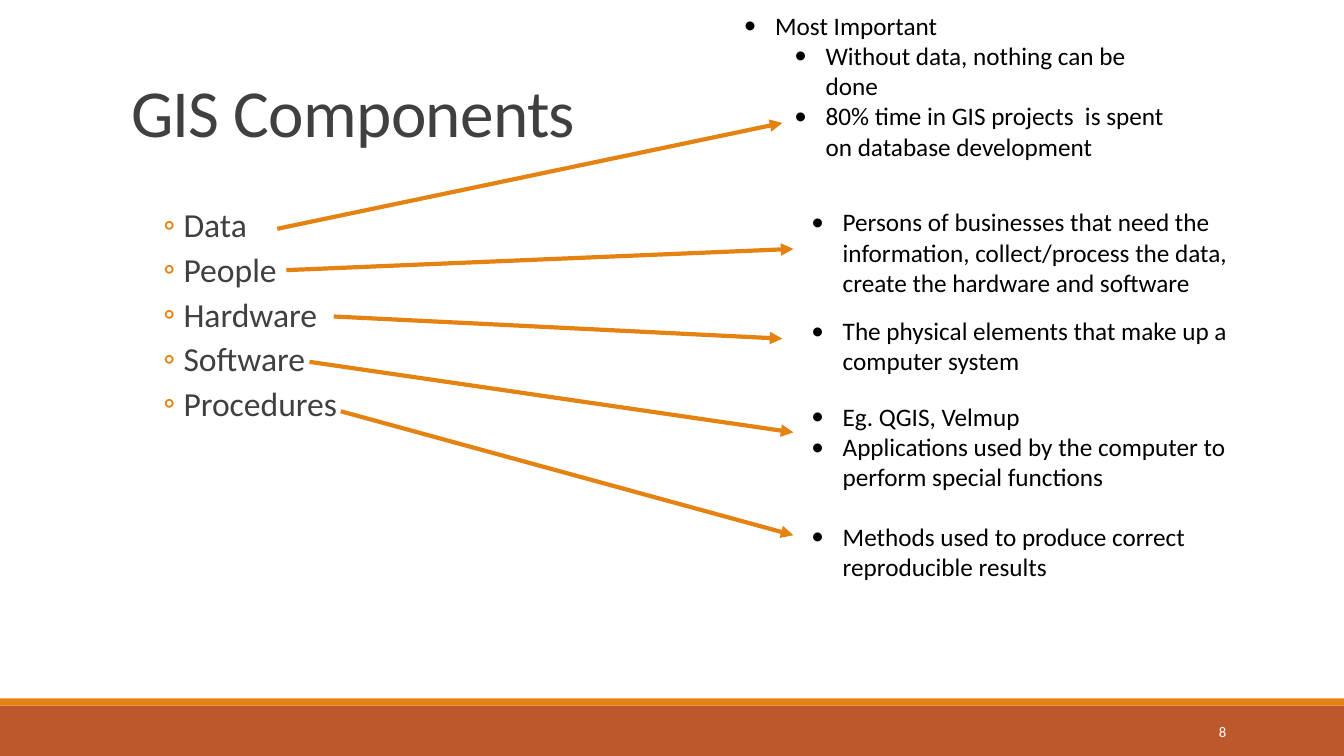
from lxml.etree import SubElement
from pptx import Presentation
from pptx.dml.color import RGBColor
from pptx.enum.shapes import MSO_CONNECTOR, MSO_SHAPE
from pptx.enum.text import MSO_ANCHOR, MSO_AUTO_SIZE, PP_ALIGN
from pptx.oxml.ns import qn
from pptx.util import Inches, Pt

ORANGE = "E48312"
RUST = "BD582C"
GREY = "404040"
BLACK = "000000"
WHITE = "FFFFFF"


def color(value):
    return RGBColor.from_string(value)


def write(paragraph, text, size=18, fill=BLACK, align=PP_ALIGN.LEFT, level=0,
          bullet=None, bullet_fill=None, indent=0, hanging=0, line=1, before=0, after=0):
    properties = paragraph._p.get_or_add_pPr()
    if bullet:
        properties.set("marL", str(Inches(indent)))
        properties.set("indent", str(-Inches(hanging)))
        bullet_color = SubElement(properties, qn("a:buClr"))
        SubElement(bullet_color, qn("a:srgbClr"), val=bullet_fill or fill)
        SubElement(properties, qn("a:buFont"), typeface="Calibri")
        SubElement(properties, qn("a:buChar"), char=bullet)
    paragraph.level = level
    paragraph.alignment = align
    paragraph.line_spacing = line
    paragraph.space_before = Pt(before)
    paragraph.space_after = Pt(after)
    run = paragraph.add_run()
    run.text = text
    run.font.name = "Calibri"
    run.font.size = Pt(size)
    run.font.color.rgb = color(fill)
    return run


presentation = Presentation()
presentation.slide_width = Inches(13.33)
presentation.slide_height = Inches(7.5)
slide = presentation.slides.add_slide(presentation.slide_layouts[1])
title, body = slide.placeholders

for top, height, fill in [(7, 0.5, RUST), (6.93, 0.07, ORANGE)]:
    band = slide.shapes.add_shape(
        MSO_SHAPE.RECTANGLE, 0, Inches(top), Inches(13.33), Inches(height))
    band.shadow.inherit = False
    band.fill.solid()
    band.fill.fore_color.rgb = color(fill)
    band.line.fill.background()

for placeholder, top, height, anchor in [
    (title, -0.04, 1.59, MSO_ANCHOR.BOTTOM),
    (body, 2.02, 4.4, MSO_ANCHOR.TOP),
]:
    placeholder.left, placeholder.top = Inches(1.2), Inches(top)
    placeholder.width, placeholder.height = Inches(11), Inches(height)
    placeholder.text_frame.auto_size = MSO_AUTO_SIZE.NONE
    placeholder.text_frame.vertical_anchor = anchor

heading = write(title.text_frame.paragraphs[0], "GIS Components", size=48, fill=GREY, line=0.85)
heading.font._element.set("spc", "-50")

body.text_frame.margin_left = body.text_frame.margin_right = 0
components = ["Data", "People", "Hardware", "Software", "Procedures"]
for index, component in enumerate(components):
    paragraph = body.text_frame.add_paragraph() if index else body.text_frame.paragraphs[0]
    write(paragraph, component, size=24, fill=GREY, level=2, bullet="◦", bullet_fill=ORANGE,
          indent=0.62, hanging=0.2, line=0.9, before=2 if index else 0, after=4)

descriptions = [
    (7.28, 0.05, 4.55, 2.22, [
        ("Most Important", 0),
        ("Without data, nothing can be done", 1),
        ("80% time in GIS projects  is spent on database development", 1),
    ]),
    (7.95, 2, 4.64, 1.01, [
        ("Persons of businesses that need the information, collect/process the data, "
         "create the hardware and software", 0),
    ]),
    (7.95, 3.08, 4.71, 0.71, [("The physical elements that make up a computer system", 0)]),
    (7.95, 3.93, 4.36, 1.01, [
        ("Eg. QGIS, Velmup", 0),
        ("Applications used by the computer to perform special functions", 0),
    ]),
    (7.95, 5.12, 4.25, 0.71, [("Methods used to produce correct reproducible results", 0)]),
]
for left, top, width, height, points in descriptions:
    box = slide.shapes.add_textbox(Inches(left), Inches(top), Inches(width), Inches(height))
    box.text_frame.word_wrap = True
    for index, (point, level) in enumerate(points):
        paragraph = box.text_frame.add_paragraph() if index else box.text_frame.paragraphs[0]
        write(paragraph, point, level=level, bullet="•", indent=0.31 + 0.5 * level, hanging=0.31)

arrows = [
    (2.75, 2.27, 7.76, 1.22),
    (2.84, 2.68, 7.87, 2.47),
    (3.31, 3.14, 7.76, 3.36),
    (3.07, 3.59, 7.87, 4.29),
    (3.38, 4.08, 7.87, 5.31),
]
for ends in arrows:
    arrow = slide.shapes.add_connector(MSO_CONNECTOR.STRAIGHT, *[Inches(end) for end in ends])
    arrow.line.color.rgb = color(ORANGE)
    arrow.line.width = Pt(3)
    SubElement(arrow.line._get_or_add_ln(), qn("a:tailEnd"), type="triangle")
    SubElement(arrow._element.spPr, qn("a:effectLst"))

number = slide.shapes.add_textbox(Inches(10.83), Inches(7.06), Inches(1.43), Inches(0.4))
number.text_frame.word_wrap = True
number.text_frame.vertical_anchor = MSO_ANCHOR.MIDDLE
write(number.text_frame.paragraphs[0], "8", size=10.5, fill=WHITE, align=PP_ALIGN.RIGHT)

presentation.save("out.pptx")
